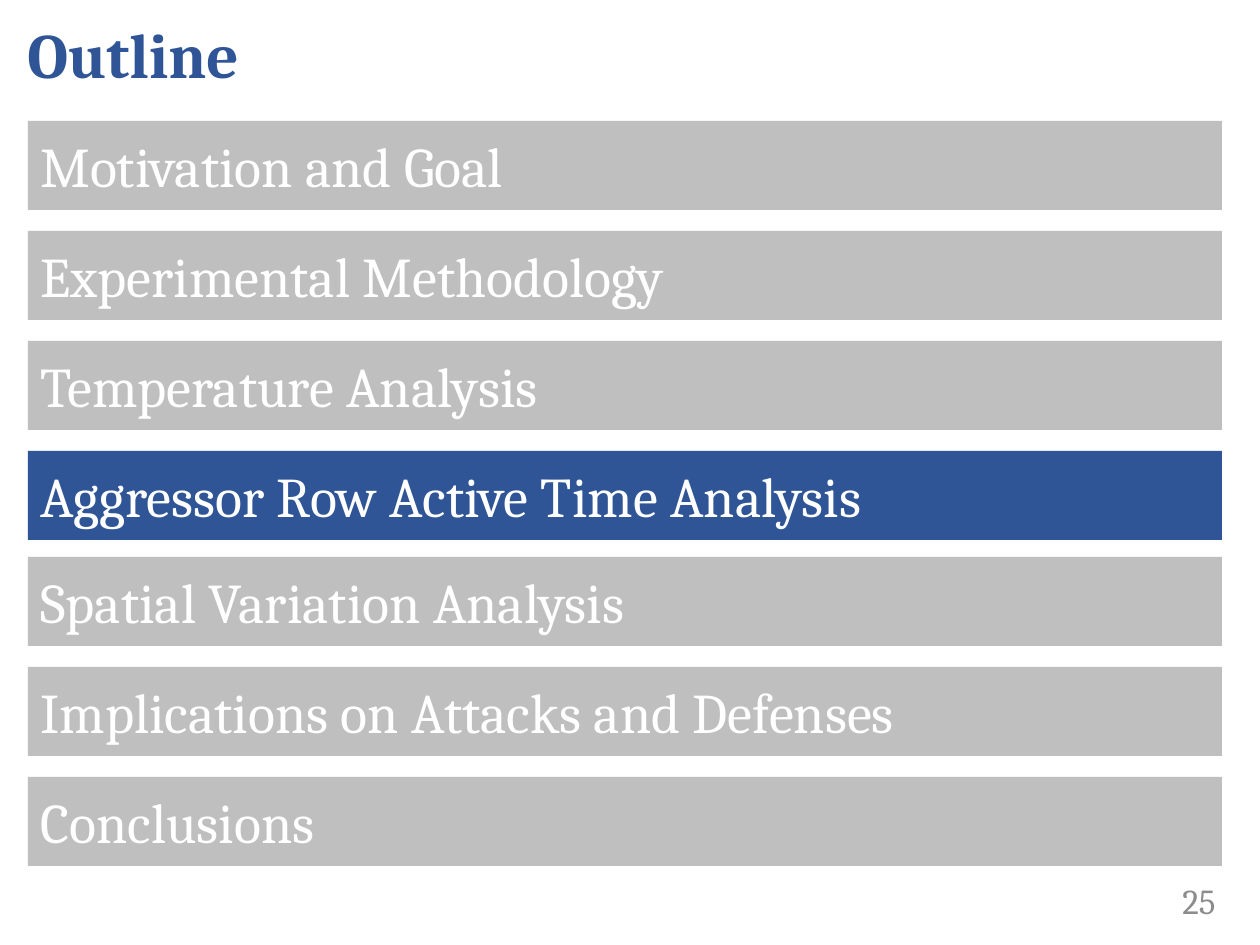
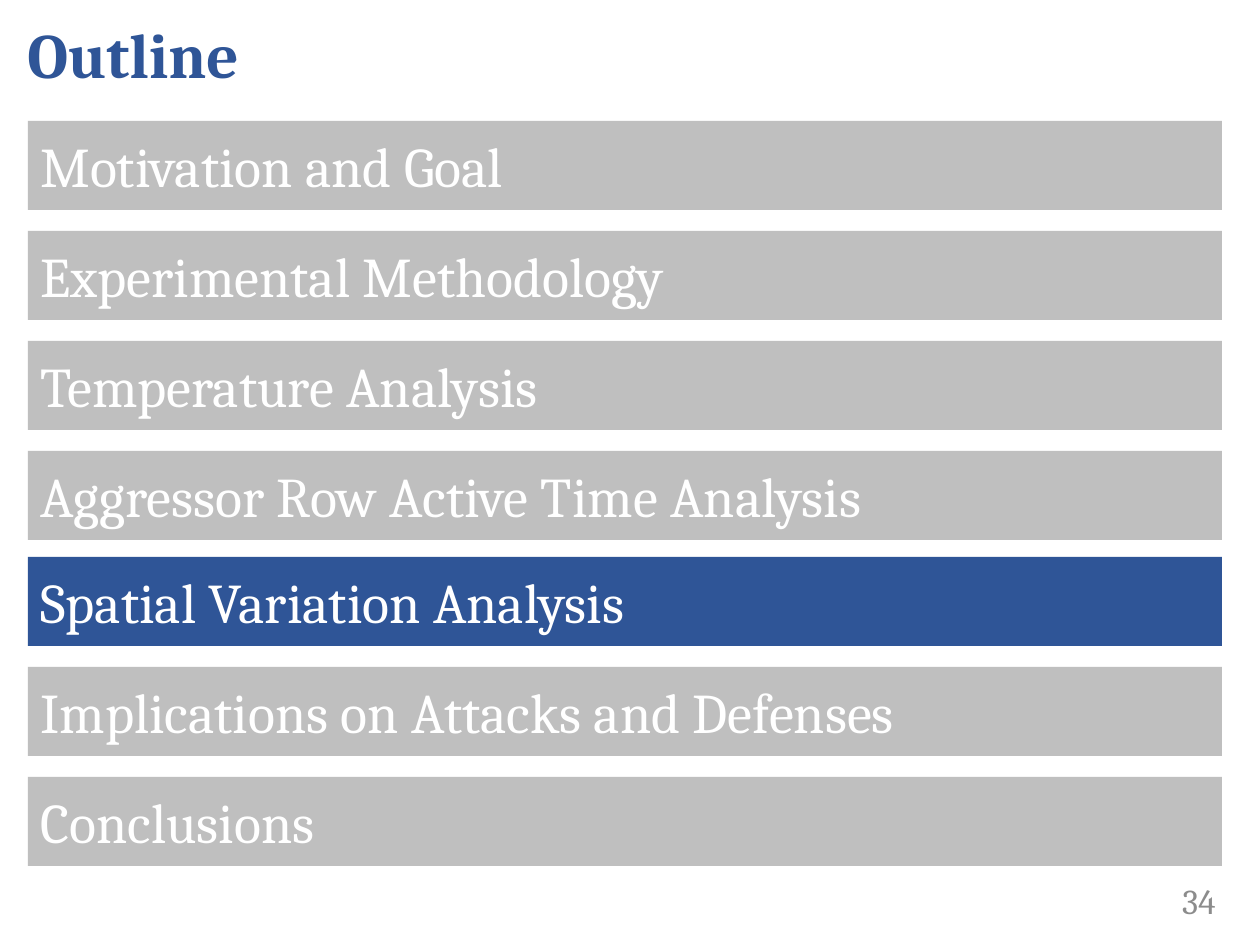
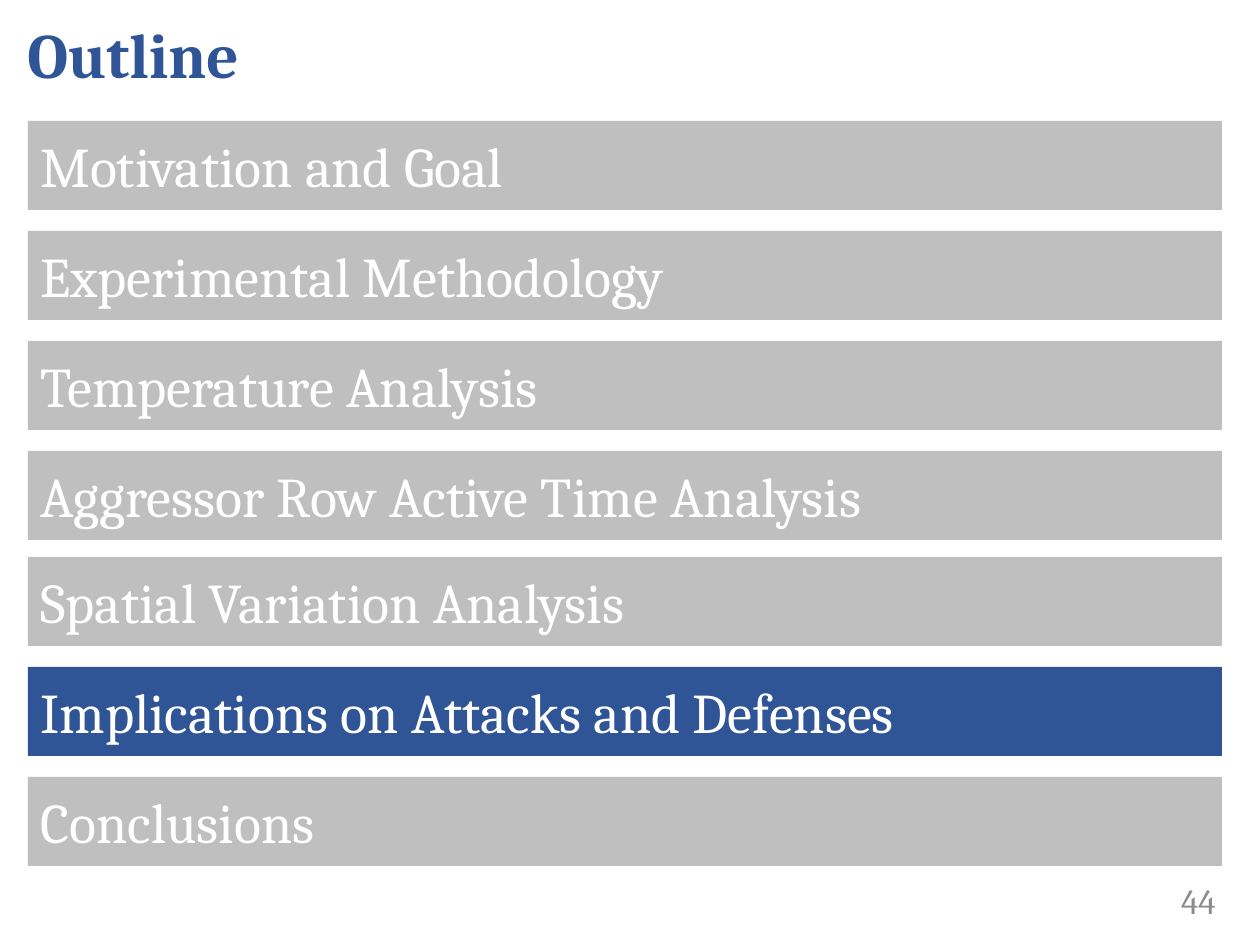
from dataclasses import dataclass

from pptx import Presentation
from pptx.dml.color import RGBColor
from pptx.enum.shapes import MSO_SHAPE
from pptx.enum.text import MSO_ANCHOR, PP_ALIGN
from pptx.util import Emu, Pt

SCALE = 914400 / 126  # EMU per px


@dataclass(frozen=True)
class Theme:
    font: str = "Cambria"
    blue: str = "2F5597"
    grey: str = "BFBFBF"
    white: str = "FFFFFF"
    muted: str = "8C8C8C"
    title: int = 36
    topic: int = 32
    page: int = 20


THEME = Theme()

# Topics come in two groups, each with its own first bar top
GROUPS = [
    (121, ["Motivation and Goal", "Experimental Methodology",
           "Temperature Analysis", "Aggressor Row Active Time Analysis"]),
    (557, ["Spatial Variation Analysis",
           "Implications on Attacks and Defenses", "Conclusions"]),
]
PITCH = 110

# Page number and the topic that is lit on it
PAGES = [
    (25, "Aggressor Row Active Time Analysis"),
    (34, "Spatial Variation Analysis"),
    (44, "Implications on Attacks and Defenses"),
]


def px(*sizes):
    return [Emu(round(size * SCALE)) for size in sizes]


def write(shape, text, size, color, bold=False, align=PP_ALIGN.LEFT):
    frame = shape.text_frame
    frame.text = text
    frame.word_wrap = True
    frame.vertical_anchor = MSO_ANCHOR.MIDDLE
    line = frame.paragraphs[0]
    line.alignment = align
    font = line.runs[0].font
    font.name = THEME.font
    font.size = Pt(size)
    font.bold = bold
    font.color.rgb = RGBColor.from_string(color)


def add_title(slide, text):
    box = slide.shapes.add_textbox(*px(15, 0, 1224, 106))
    write(box, text, THEME.title, THEME.blue, bold=True)
    box.text_frame.paragraphs[0].space_after = Pt(6)


def add_page(slide, number):
    box = slide.shapes.add_textbox(*px(1092, 876, 136, 50))
    write(box, str(number), THEME.page, THEME.muted, align=PP_ALIGN.RIGHT)


def add_bar(slide, top, topic, lit):
    bar = slide.shapes.add_shape(MSO_SHAPE.RECTANGLE, *px(28, top, 1194, 89))
    bar.shadow.inherit = False
    bar.fill.solid()
    bar.fill.fore_color.rgb = RGBColor.from_string(
        THEME.blue if lit else THEME.grey)
    bar.line.fill.background()
    write(bar, topic, THEME.topic, THEME.white)


def add_outline(deck, number, current):
    slide = deck.slides.add_slide(deck.slide_layouts[6])
    add_page(slide, number)
    add_title(slide, "Outline")
    for start, topics in GROUPS:
        for row, topic in enumerate(topics):
            add_bar(slide, start + row * PITCH, topic, topic == current)


def main():
    deck = Presentation()
    deck.slide_width, deck.slide_height = px(1260, 945)
    for number, current in PAGES:
        add_outline(deck, number, current)
    deck.save("out.pptx")


if __name__ == "__main__":
    main()
